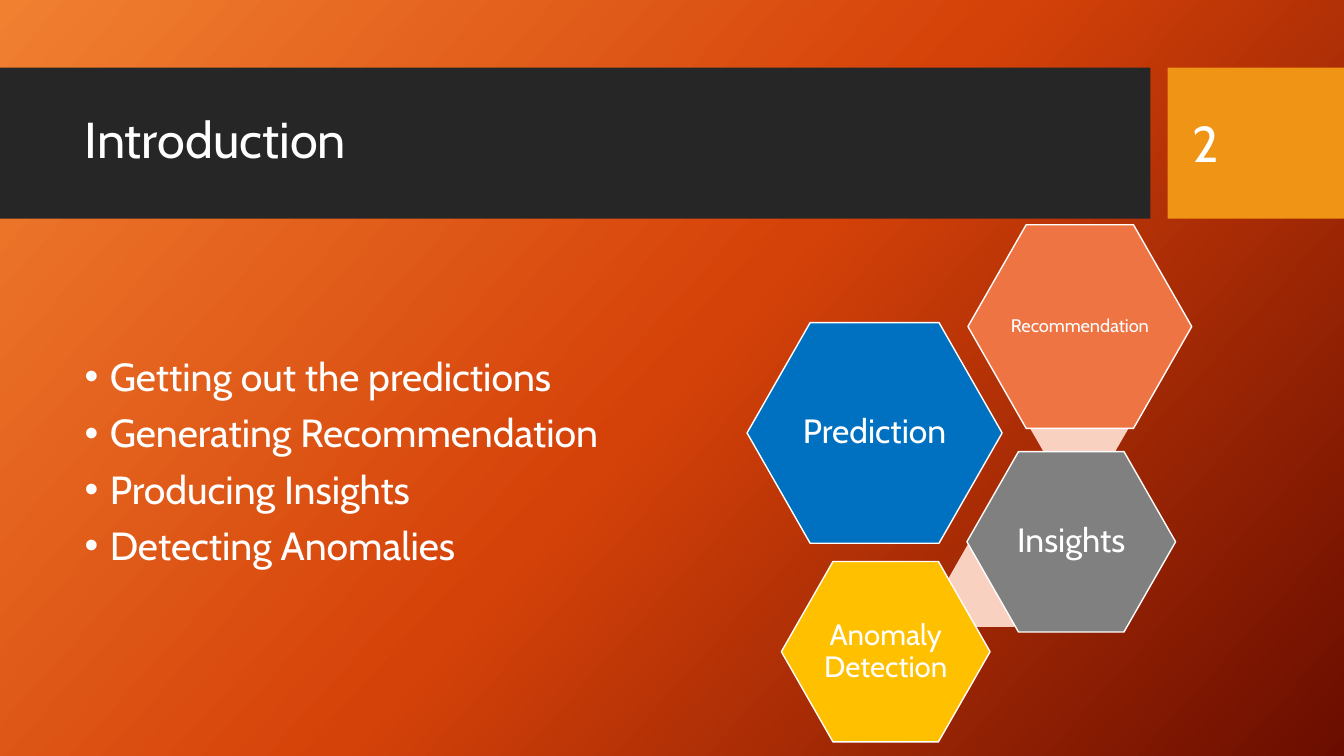
from copy import deepcopy

from lxml import etree
from pptx import Presentation
from pptx.dml.color import RGBColor
from pptx.enum.shapes import MSO_SHAPE
from pptx.enum.text import MSO_ANCHOR, MSO_AUTO_SIZE, PP_ALIGN
from pptx.oxml.ns import qn
from pptx.util import Inches, Pt

RECT, HEXAGON = MSO_SHAPE.RECTANGLE, MSO_SHAPE.HEXAGON
LEFT, CENTER = PP_ALIGN.LEFT, PP_ALIGN.CENTER
MIDDLE = MSO_ANCHOR.MIDDLE
NO_AUTOFIT = MSO_AUTO_SIZE.NONE

FONT = "Cabin"
WHITE = "FFFFFF"
LINK_FILL = "F9D1C1"
BACKGROUND = [(0, "F18031"), (0.5, "D54209"), (1, "6A0D00")]
BULLETS = [
    "Getting out the predictions",
    "Generating Recommendation",
    "Producing Insights",
    "Detecting Anomalies",
]
# Position and size of the links between hexagons
LINKS = [(10.15, 3.77, 1.11, 0.73), (9.4, 5.28, 0.93, 0.94)]
# Label, position and size, fill, text size
TOPICS = [
    ("Prediction", (7.41, 3.2, 2.53, 2.19), "0070C0", 24),
    ("Recommendation", (9.6, 2.23, 2.22, 2.02), "EE7444", 13),
    ("Insights", (9.59, 4.48, 2.07, 1.79), "808080", 24),
    ("Anomaly Detection", (7.75, 5.57, 2.07, 1.79), "FFC000", 21),
]


def color(value):
    """Turn a hex string into a colour."""
    return RGBColor.from_string(value)


def set_background(slide, stops, angle):
    """Fill the slide with a gradient running clockwise from the left."""
    fill = slide.background.fill
    fill.gradient()
    fill.gradient_angle = 360 - angle
    gs_list = next(slide.element.iter(qn("a:gsLst")))
    while len(gs_list) < len(stops):
        gs_list.append(deepcopy(gs_list[0]))
    for stop, (position, value) in zip(fill.gradient_stops, stops):
        stop.position = position
        stop.color.rgb = color(value)


def add_bullet(p, indent=0.25):
    """Give a paragraph a round bullet with a hanging indent."""
    pPr = p._p.get_or_add_pPr()
    pPr.set("marL", str(Inches(indent)))
    pPr.set("indent", str(-Inches(indent)))
    etree.SubElement(pPr, qn("a:buFont")).set("typeface", "Arial")
    etree.SubElement(pPr, qn("a:buChar")).set("char", "•")


def write(sp, *lines, size, align=LEFT, spacing=0.9, before=0, bullet=False):
    """Write one formatted paragraph per line, centred vertically."""
    tf = sp.text_frame
    tf.word_wrap = True
    tf.auto_size = NO_AUTOFIT
    tf.vertical_anchor = MIDDLE
    for i, text in enumerate(lines):
        p = tf.add_paragraph() if i else tf.paragraphs[0]
        p.alignment = align
        p.line_spacing = spacing
        p.space_before = Pt(before)
        if bullet:
            add_bullet(p)
        r = p.add_run()
        r.text = text
        r.font.name = FONT
        r.font.size = Pt(size)
        r.font.color.rgb = color(WHITE)


def add_block(slide, kind, box, fill, line=None):
    """Add a flat preset shape, outlined when a line colour is given."""
    sp = slide.shapes.add_shape(kind, *map(Inches, box))
    sp.shadow.inherit = False
    sp.fill.solid()
    sp.fill.fore_color.rgb = color(fill)
    if line:
        sp.line.color.rgb = color(line)
        sp.line.width = Pt(1)
    else:
        sp.line.fill.background()
    return sp


def add_hexagon(slide, box, fill, line=None, adj=0.286):
    """Add a hexagon with the given corner adjustment."""
    sp = add_block(slide, HEXAGON, box, fill, line)
    sp.adjustments[0] = adj
    return sp


def add_topic(slide, label, box, fill, size):
    """Add an outlined hexagon with a centred label."""
    sp = add_hexagon(slide, box, fill, WHITE)
    tf = sp.text_frame
    tf.margin_left = tf.margin_right = Inches(0.02)
    tf.margin_top = tf.margin_bottom = Inches(0.02)
    write(sp, label, size=size, align=CENTER)


def add_text(slide, box, *lines, **style):
    """Add a text box holding the given lines."""
    sp = slide.shapes.add_textbox(*map(Inches, box))
    write(sp, *lines, **style)
    return sp


def add_title(slide, box, text, size):
    """Place the title in front of the shapes added so far."""
    sp = slide.shapes.title
    sp.left, sp.top, sp.width, sp.height = map(Inches, box)
    write(sp, text, size=size)
    slide.shapes.element.append(sp.element)


def main():
    """Build the slide and save it."""
    prs = Presentation()
    prs.slide_width, prs.slide_height = Inches(13.33), Inches(7.5)
    slide = prs.slides.add_slide(prs.slide_layouts[5])
    set_background(slide, BACKGROUND, 42)

    add_block(slide, RECT, (0, 0.67, 11.41, 1.5), "262626")
    add_block(slide, RECT, (11.58, 0.67, 1.75, 1.5), "F09415")
    add_title(slide, (0.74, 0.82, 10.51, 1.18), "Introduction", 36)
    add_text(slide, (11.73, 0.82, 1.26, 1.19), "2", size=36, spacing=1)

    body = add_text(slide, (0.74, 2.97, 6.28, 3.94), *BULLETS,
                    size=28, before=10, bullet=True)
    body.text_frame.margin_bottom = Inches(0.74)

    for box in LINKS:
        add_hexagon(slide, box, LINK_FILL, adj=0.289)
    for topic in TOPICS:
        add_topic(slide, *topic)

    prs.save("out.pptx")


main()
